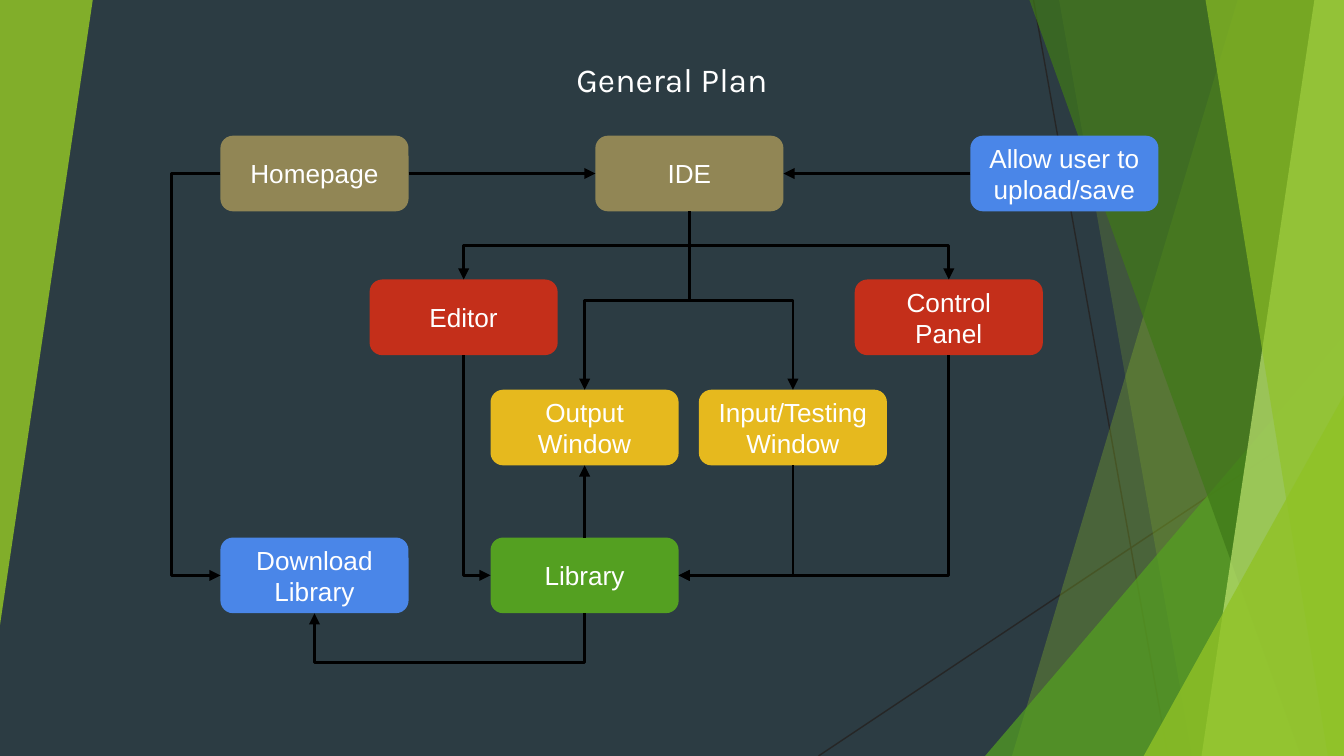
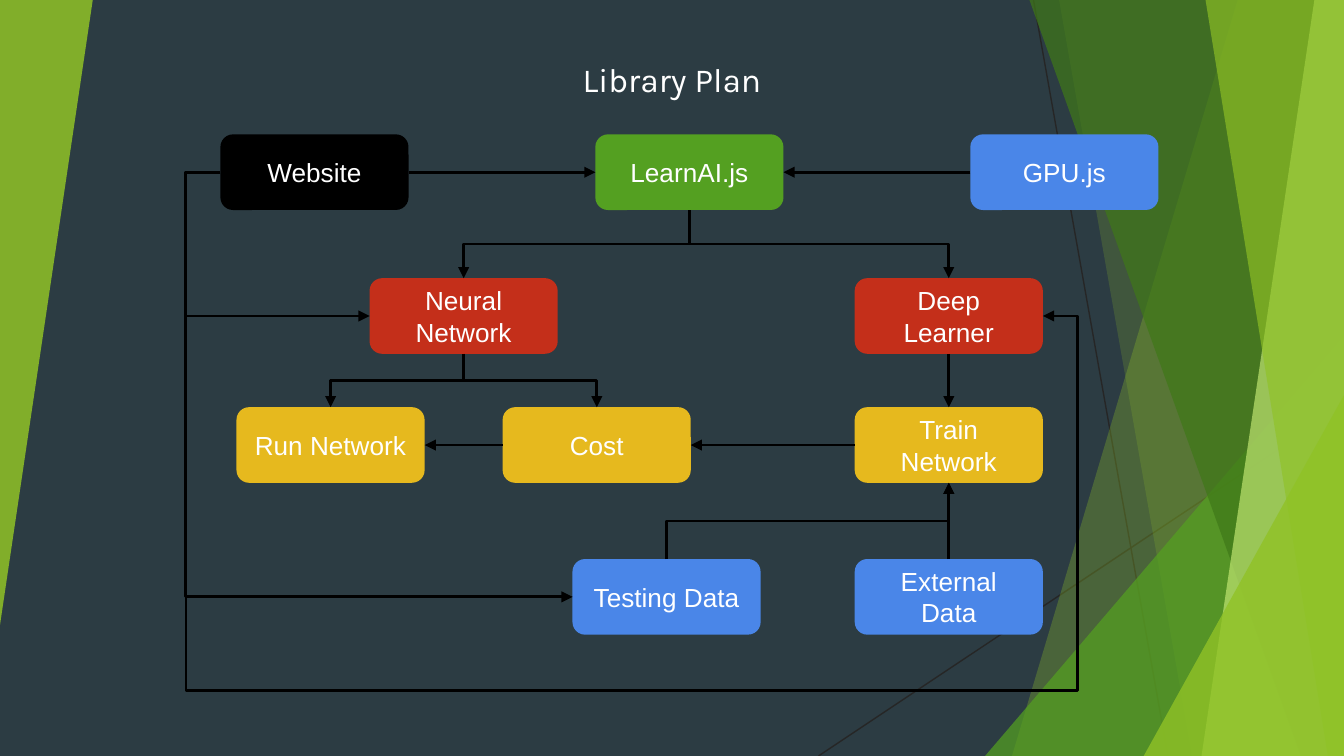
"""Build two flow-chart slides, a general plan and a library plan, on a shared green backdrop."""
import dataclasses

import lxml.etree
import pptx
import pptx.dml.color
import pptx.enum.shapes
import pptx.enum.text
import pptx.oxml.ns
import pptx.util


@dataclasses.dataclass(frozen=True)
class Theme:
    back: str = "2C3C43"
    white: str = "FFFFFF"
    black: str = "000000"
    hair: str = "262626"
    lime: str = "90C226"
    pale: str = "BFE471"
    green: str = "54A021"
    dark: str = "3F7818"
    tan: str = "918655"
    red: str = "C42F1A"
    gold: str = "E6B91E"
    blue: str = "4A86E8"
    head: str = "Karla"
    body: str = "Arial"
    big: int = 18
    small: int = 14
    thin: float = 0.75
    thick: float = 1.5


look = Theme()
color = pptx.dml.color.RGBColor.from_string
qname = pptx.oxml.ns.qn
forms = pptx.enum.shapes.MSO_SHAPE
wires = pptx.enum.shapes.MSO_CONNECTOR
center = pptx.enum.text.PP_ALIGN.CENTER
anchor = pptx.enum.text.MSO_ANCHOR

deck = pptx.Presentation()
deck.slide_width = pptx.util.Inches(10)
deck.slide_height = pptx.util.Inches(5.625)
unit = deck.slide_width / 100
low = deck.slide_height / unit
top, left, foot, right = range(4)


def span(*shares):
    """Turn hundredths of the slide's width into lengths."""
    return [pptx.util.Emu(round(share * unit)) for share in shares]


def wire(page, start, side, end, goal, bends=()):
    """Join two boxes with an arrow; bends are run lengths from the start."""
    line = page.shapes.add_connector(wires.ELBOW, 0, 0, 0, 0)
    line.begin_connect(start, side)
    line.end_connect(end, goal)
    across, down = line.end_x - line.begin_x, line.end_y - line.begin_y
    props = line.element.spPr
    frame, shape = props.find(qname("a:xfrm")), props.find(qname("a:prstGeom"))
    if not bends and 0 in (across, down):
        shape.set("prst", "line")
    else:
        turns = 2 if side % 2 != goal % 2 else max(3, len(bends) + 2)
        shape.set("prst", f"bentConnector{turns}")
        mid = (line.begin_x + line.end_x) / 2, (line.begin_y + line.end_y) / 2
        size = abs(across), abs(down)
        flip, turn = across < 0, 0
        if side in (top, foot):
            size = size[::-1]
            flip = side == foot and across > 0
            turn = 270 if side == top or flip else 90
        size = max(size[0], 914), size[1]
        line.width, line.height = size
        line.left, line.top = (round(mid[i] - size[i] / 2) for i in (0, 1))
        frame.set("rot", str(turn * 60000))
        frame.set("flipH", str(int(flip)))
        frame.set("flipV", "0")
        for i, bend in enumerate(bends):
            share = round(bend * unit / size[i % 2] * 100000)
            lxml.etree.SubElement(shape.find(qname("a:avLst")), qname("a:gd"),
                                  name=f"adj{i + 1}", fmla=f"val {share}")
    line.line.color.rgb = color(look.black)
    line.line.width = pptx.util.Pt(look.thick)
    lxml.etree.SubElement(props.find(qname("a:ln")), qname("a:tailEnd"), type="triangle")
    lxml.etree.SubElement(props, qname("a:effectLst"))


plain = deck.slide_layouts[5]
title = plain.placeholders[0]
title.left, title.top, title.width, title.height = span(26.4, 3.4, 47.2, 5)
master = deck.slide_master
master.background.fill.solid()
master.background.fill.fore_color.rgb = color(look.back)
pages = [deck.slides.add_slide(plain) for _ in range(2)]
draw = pages[0].shapes

decor = []
for ends in ((76.9, 0, 86.9, low), (100, 30.2, 60.9, low)):
    hair = draw.add_connector(wires.STRAIGHT, *span(*ends))
    hair.line.color.rgb = color(look.hair)
    hair.line.width = pptx.util.Pt(look.thin)
    lxml.etree.SubElement(hair.element.spPr, qname("a:effectLst"))
    decor.append(hair)

panes = [
    (look.lime, 30, (92.1, 75.3)),
    (look.lime, 20, (78.8, 88.7)),
    (look.green, 72, (73.3, 25, 26.7, low - 25)),
    (look.dark, 70, (76.6, 96.8)),
    (look.pale, 70, (97.8, 89.4)),
    (look.lime, 65, (89.7, 98.8)),
    (look.lime, 80, (85.1, 29.4, 14.9, low - 29.4)),
    (look.lime, 85, (0, 0, 6.9, 46.5)),
]
for tint, alpha, place in panes:
    if len(place) == 2:
        high, base = place
        path = draw.build_freeform(*span(high, 0), scale=1.0)
        path.add_line_segments([span(100, 0), span(100, low), span(base, low)], close=True)
        pane = path.convert_to_shape()
    else:
        pane = draw.add_shape(forms.ISOSCELES_TRIANGLE, *span(*place))
        pane.adjustments[0] = 1
        pane.rotation = 0 if place[0] else 180
    pane.shadow.inherit = False
    pane.line.fill.background()
    pane.fill.solid()
    pane.fill.fore_color.rgb = color(tint)
    tone = next(pane.element.spPr.iter(qname("a:srgbClr")))
    lxml.etree.SubElement(tone, qname("a:alpha"), val=str(alpha * 1000))
    decor.append(pane)

for i, item in enumerate(decor):
    next(item.element.iter(qname("p:cNvPr"))).set("id", str(100 + i))
    master.shapes.element.insert(2 + i, item.element)

cols = {"first": 16.4, "mid": 44.3, "last": 72.2, "west": 27.5, "east": 63.6}
plans = [
    ("General Plan", {
        "home": ("Homepage", look.tan, cols["first"], 10.1),
        "ide": ("IDE", look.tan, cols["mid"], 10.1),
        "save": ("Allow user to upload/save", look.blue, cols["last"], 10.1),
        "edit": ("Editor", look.red, cols["west"], 20.8),
        "panel": ("Control Panel", look.red, cols["east"], 20.8),
        "out": ("Output Window", look.gold, 36.5, 29),
        "test": ("Input/Testing Window", look.gold, 52, 29),
        "load": ("Download Library", look.blue, cols["first"], 40),
        "lib": ("Library", look.green, 36.5, 40),
    }, [
        ("home", right, "ide", left),
        ("save", left, "ide", right),
        ("ide", foot, "edit", top),
        ("ide", foot, "out", top),
        ("ide", foot, "test", top),
        ("ide", foot, "panel", top),
        ("edit", foot, "lib", left),
        ("test", foot, "lib", right),
        ("panel", foot, "lib", right),
        ("home", left, "load", left, (-3.1,)),
        ("lib", foot, "load", foot, (3.1,)),
        ("lib", top, "out", foot),
    ]),
    ("Library Plan", {
        "site": ("Website", look.black, cols["first"], 10),
        "learn": ("LearnAI.js", look.green, cols["mid"], 10),
        "gpu": ("GPU.js", look.blue, cols["last"], 10),
        "net": ("Neural\nNetwork", look.red, cols["west"], 20.7),
        "deep": ("Deep Learner", look.red, cols["east"], 20.7),
        "run": ("Run Network", look.gold, 17.6, 30.3),
        "cost": ("Cost", look.gold, 37.4, 30.3),
        "train": ("Train Network", look.gold, cols["east"], 30.3),
        "test": ("Testing Data", look.blue, 42.6, 41.6),
        "data": ("External Data", look.blue, cols["east"], 41.6),
    }, [
        ("site", right, "learn", left),
        ("gpu", left, "learn", right),
        ("learn", foot, "net", top),
        ("learn", foot, "deep", top),
        ("net", foot, "cost", top),
        ("net", foot, "run", top),
        ("train", left, "cost", right),
        ("cost", left, "run", right),
        ("deep", foot, "train", top),
        ("data", top, "train", foot),
        ("test", top, "train", foot),
        ("site", left, "net", left, (-2.6,)),
        ("site", left, "test", left, (-2.6,)),
        ("site", left, "deep", right, (-2.6, 38.6, 63.8)),
    ]),
]

for page, (name, nodes, links) in zip(pages, plans):
    boxes = {}
    for key, (label, tint, x, y) in nodes.items():
        box = page.shapes.add_shape(forms.ROUNDED_RECTANGLE, *span(x, y, 14, 5.63))
        box.shadow.inherit = False
        box.line.fill.background()
        box.fill.solid()
        box.fill.fore_color.rgb = color(tint)
        box.text_frame.text = label
        boxes[key] = box
    for start, side, end, goal, *bends in links:
        wire(page, boxes[start], side, boxes[end], goal, *bends)
    page.shapes.title.text_frame.text = name
    for item in (page.shapes.title, *boxes.values()):
        head = item not in boxes.values()
        text = item.text_frame
        text.word_wrap = True
        text.auto_size = pptx.enum.text.MSO_AUTO_SIZE.NONE
        text.vertical_anchor = anchor.TOP if head else anchor.MIDDLE
        text.margin_left, text.margin_top, text.margin_right, text.margin_bottom = span(1, 1, 1, 1)
        for para in text.paragraphs:
            para.alignment = center
            para.font.name = look.head if head else look.body
            para.font.size = pptx.util.Pt(look.big if head else look.small)
            para.font.color.rgb = color(look.white)

deck.save("out.pptx")
